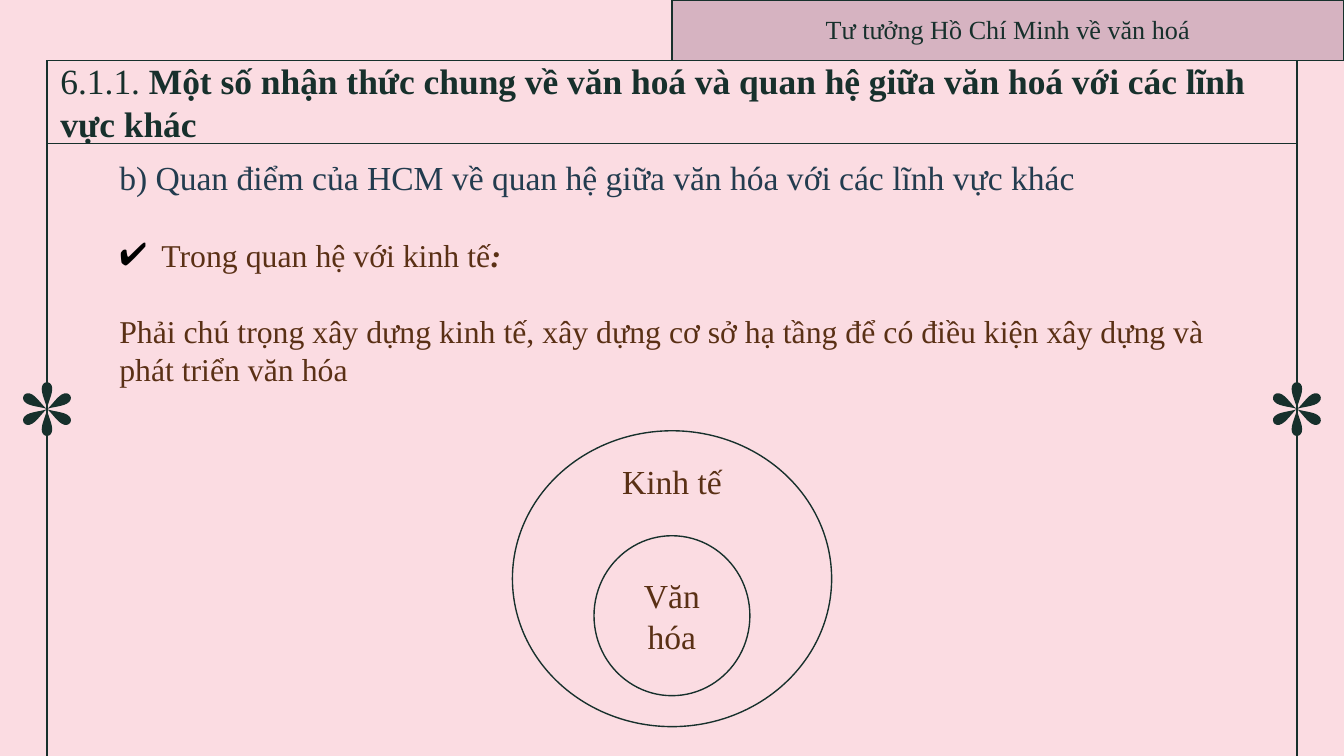
import math
import pptx
import pptx.dml.color
import pptx.enum.shapes
import pptx.enum.text
import pptx.oxml
import pptx.oxml.ns
import pptx.util

Pt = pptx.util.Pt
ALIGN = pptx.enum.text.PP_ALIGN
ANCHOR = pptx.enum.text.MSO_ANCHOR
SHAPE = pptx.enum.shapes.MSO_SHAPE
FONT = "Times New Roman"
COLORS = {"paper": "FBDCE2", "ink": "17302C", "mauve": "D6B3C1",
          "navy": "233C4F", "brown": "5A3015", "tick": "000000"}
WIDTH, HEIGHT = 720, 405


def rgb(name):
    """Return the named colour."""
    return pptx.dml.color.RGBColor.from_string(COLORS[name])


def place(sp, x, y, w, h):
    """Put a shape at a box given in points."""
    sp.left, sp.top, sp.width, sp.height = Pt(x), Pt(y), Pt(w), Pt(h)


def outline(sp, fill=None):
    """Give a shape the thin ink line and an optional fill."""
    if fill:
        sp.fill.solid()
        sp.fill.fore_color.rgb = rgb(fill)
    else:
        sp.fill.background()
    sp.line.color.rgb = rgb("ink")
    sp.line.width = Pt(0.75)


def frame(sp, anchor=ANCHOR.TOP):
    """Set equal insets, wrapping and anchor, and return the text frame."""
    tf = sp.text_frame
    tf.word_wrap = True
    tf.auto_size = pptx.enum.text.MSO_AUTO_SIZE.NONE
    tf.vertical_anchor = anchor
    tf.margin_left = tf.margin_right = tf.margin_top = tf.margin_bottom = Pt(7.2)
    return tf


def write(p, text, size=18, color="ink", bold=False, italic=False, align=ALIGN.LEFT):
    """Add a formatted run to a paragraph."""
    p.alignment = align
    r = p.add_run()
    r.text = text
    r.font.name = FONT
    r.font.size = Pt(size)
    r.font.bold = bold
    r.font.italic = italic
    r.font.color.rgb = rgb(color)


def set_bullet(p, char=None, indent=0):
    """Give a paragraph a hanging bullet, or none."""
    pPr = p._p.get_or_add_pPr()
    pPr.set("marL", str(Pt(indent)))
    pPr.set("indent", str(-Pt(indent)))
    ns = pptx.oxml.ns.nsdecls("a")
    if char:
        parts = [f'<a:buClr {ns}><a:srgbClr val="{COLORS["tick"]}"/></a:buClr>',
                 f'<a:buFont {ns} typeface="{FONT}"/>',
                 f'<a:buChar {ns} char="{char}"/>']
    else:
        parts = [f"<a:buNone {ns}/>"]
    for part in parts:
        pPr.append(pptx.oxml.parse_xml(part))


def add_flower(s, cx, cy, radius=14.4, petals=6, steps=24):
    """Draw a six-petal asterisk around a centre."""
    points = []
    for k in range(petals):
        a = math.radians(90 + 360 * k / petals)
        for i in range(steps):
            t = 2 * math.pi * i / steps
            reach = (1 - math.cos(t)) / 2
            along, across = radius * reach, radius * 0.3 * math.sin(t) * reach
            points.append((Pt(cx + along * math.cos(a) - across * math.sin(a)),
                           Pt(cy - along * math.sin(a) - across * math.cos(a))))
    fb = s.shapes.build_freeform(*points[0])
    fb.add_line_segments(points[1:], close=True)
    sp = fb.convert_to_shape()
    sp.shadow.inherit = False
    sp.fill.solid()
    sp.fill.fore_color.rgb = rgb("ink")
    sp.line.fill.background()


def add_side_rules(s, x, y, w, h):
    """Draw a rule with a flower at each side of the box."""
    for side in (x, x + w):
        rule = s.shapes.add_connector(
            pptx.enum.shapes.MSO_CONNECTOR.STRAIGHT, Pt(side), Pt(y), Pt(side), Pt(y + h))
        rule.line.color.rgb = rgb("ink")
        rule.line.width = Pt(0.75)
        rule._element.spPr.append(
            pptx.oxml.parse_xml(f'<a:effectLst {pptx.oxml.ns.nsdecls("a")}/>'))
        add_flower(s, side, y + h / 2 + 0.5)


def add_header(s, x, y, w, h):
    """Add the topic tab."""
    sp = s.shapes.add_shape(SHAPE.RECTANGLE, Pt(x), Pt(y), Pt(w), Pt(h))
    sp.shadow.inherit = False
    outline(sp, "mauve")
    write(frame(sp).paragraphs[0], "Tư tưởng Hồ Chí Minh về văn hoá", size=14, align=ALIGN.CENTER)


def fill_title(s, x, y, w, h):
    """Place and write the section title."""
    sp = s.shapes.title
    place(sp, x, y, w, h)
    outline(sp)
    p = frame(sp, ANCHOR.MIDDLE).paragraphs[0]
    write(p, "6.1.1. ", size=19)
    write(p, "Một số nhận thức chung về văn hoá và quan hệ giữa văn hoá với các lĩnh vực khác",
          size=19, bold=True)


def fill_body(s, x, y, w, h):
    """Place and write the points."""
    sp = s.placeholders[1]
    place(sp, x, y, w, h)
    tf = frame(sp)
    lead, point, detail = tf.paragraphs[0], tf.add_paragraph(), tf.add_paragraph()
    for p, char, indent, gap in ((lead, None, 0, 0), (point, "✔", 22.5, 20.4),
                                 (detail, None, 0, 20.4)):
        set_bullet(p, char, indent)
        p.space_before = Pt(gap)
    write(lead, "b) Quan điểm của HCM về quan hệ giữa văn hóa với các lĩnh vực khác", color="navy")
    write(point, "Trong quan hệ với kinh tế", size=17, color="brown")
    write(point, ":", size=17, color="brown", bold=True, italic=True)
    write(detail, "Phải chú trọng xây dựng kinh tế, xây dựng cơ sở hạ tầng để có điều kiện "
          "xây dựng và phát triển văn hóa", size=17, color="brown")


def add_circles(s, x, y, w, h):
    """Draw culture as a circle inside economy."""
    inner_w, inner_h = 83.5, 85.7
    boxes = ((x, y, w, h), (x + (w - inner_w) / 2, y + 56.2, inner_w, inner_h))
    for box in boxes:
        sp = s.shapes.add_shape(SHAPE.OVAL, *map(Pt, box))
        sp.shadow.inherit = False
        outline(sp)
    write(frame(sp, ANCHOR.MIDDLE).paragraphs[0], "Văn hóa", color="brown", align=ALIGN.CENTER)
    label = s.shapes.add_textbox(Pt(x), Pt(y + 9), Pt(w), Pt(36))
    write(frame(label).paragraphs[0], "Kinh tế", color="brown", align=ALIGN.CENTER)


def main():
    """Build and save the slide."""
    prs = pptx.Presentation()
    prs.slide_width, prs.slide_height = Pt(WIDTH), Pt(HEIGHT)
    s = prs.slides.add_slide(prs.slide_layouts[1])
    s.background.fill.solid()
    s.background.fill.fore_color.rgb = rgb("paper")
    margin, top = 25.2, 32.4
    inner = WIDTH - 2 * margin
    add_side_rules(s, margin, top, inner, HEIGHT - top)
    fill_title(s, margin, top, inner, 44.5)
    fill_body(s, 56.7, 76.9, 607, 267)
    add_header(s, WIDTH / 2, 0, WIDTH / 2, top)
    add_circles(s, 274.5, 230.8, 171, 158.5)
    prs.save("out.pptx")


if __name__ == "__main__":
    main()
